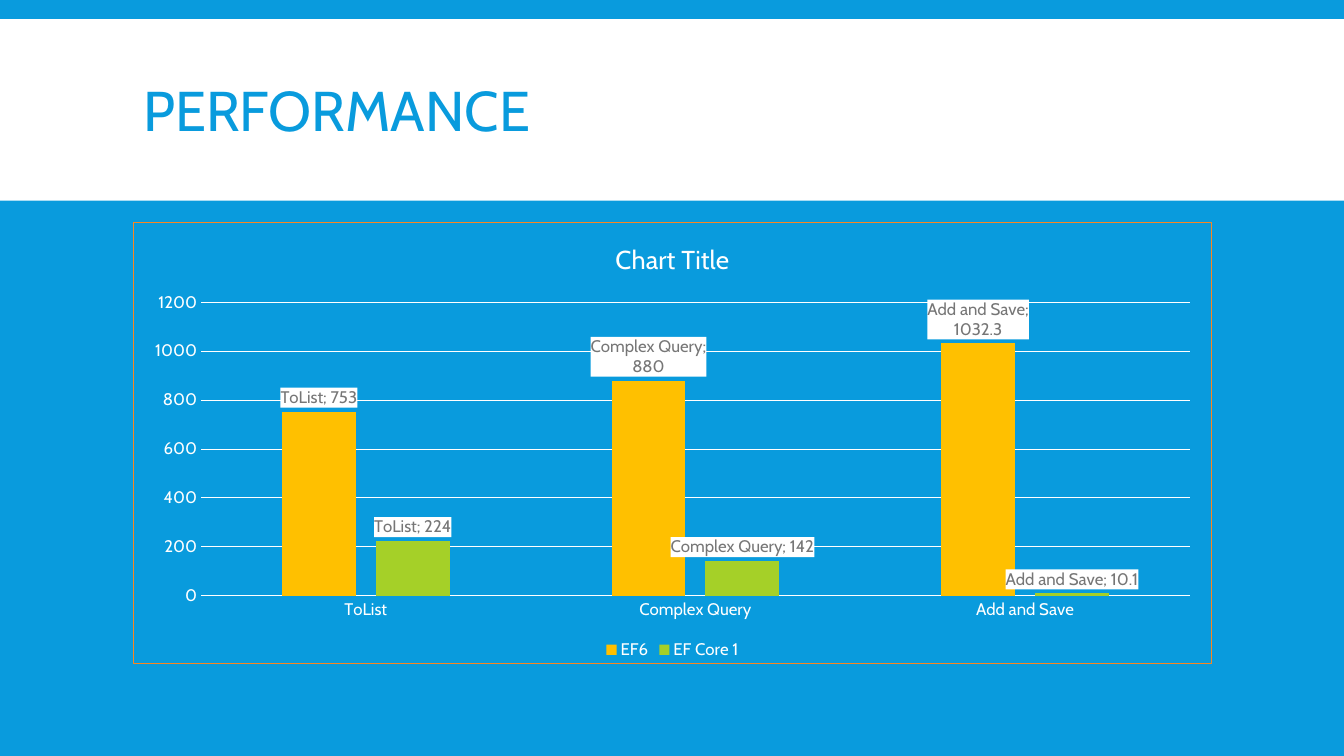
from lxml import etree
from pptx import Presentation
from pptx.chart.data import CategoryChartData
from pptx.dml.color import RGBColor
from pptx.enum.chart import XL_CHART_TYPE as CT, XL_LABEL_POSITION as LP
from pptx.enum.chart import XL_LEGEND_POSITION as LG, XL_TICK_MARK as TM
from pptx.enum.shapes import MSO_SHAPE
from pptx.enum.text import MSO_ANCHOR, PP_ALIGN
from pptx.oxml import parse_xml
from pptx.util import Inches, Pt

NS_C = "http://schemas.openxmlformats.org/drawingml/2006/chart"
NS_A = "http://schemas.openxmlformats.org/drawingml/2006/main"
BLUE, WHITE, GREY, ORANGE = "099BDD", "FFFFFF", "767676", "FA8621"
CATEGORIES = ["ToList", "Complex Query", "Add and Save"]
SERIES = [
    ("EF6", [753, 880, 1032.3], "FFC000"),
    ("EF Core 1", [224, 142, 10.1], "A5D028"),
]


def rgb(value):
    return RGBColor.from_string(value)


def solid(color):
    return f'<a:solidFill><a:srgbClr val="{color}"/></a:solidFill>'


def chart_sppr(content):
    """Return a chart shape-properties element holding the given fill and line."""
    return parse_xml(f'<c:spPr xmlns:c="{NS_C}" xmlns:a="{NS_A}">{content}</c:spPr>')


class SlideBuilder:
    def __init__(self, prs, font="Cabin", background=BLUE):
        self.font = font
        self.s = prs.slides.add_slide(prs.slide_layouts[5])
        fill = self.s.background.fill
        fill.solid()
        fill.fore_color.rgb = rgb(background)

    def style(self, font, size, color):
        font.name, font.size, font.bold = self.font, Pt(size), False
        font.color.rgb = rgb(color)

    def band(self, x, y, w, h, color):
        """Add a plain rectangle behind everything else."""
        sp = self.s.shapes.add_shape(
            MSO_SHAPE.RECTANGLE, Inches(x), Inches(y), Inches(w), Inches(h))
        sp.shadow.inherit = False
        sp.fill.solid()
        sp.fill.fore_color.rgb = rgb(color)
        sp.line.fill.background()
        self.s.shapes._spTree.insert(2, sp._element)

    def title(self, text, x, y, w, h, size, color):
        sp = self.s.shapes.title
        sp.left, sp.top, sp.width, sp.height = map(Inches, (x, y, w, h))
        tf = sp.text_frame
        tf.word_wrap, tf.vertical_anchor = True, MSO_ANCHOR.MIDDLE
        p = tf.paragraphs[0]
        p.alignment, p.line_spacing = PP_ALIGN.LEFT, 0.85
        r = p.add_run()
        r.text = text
        self.style(r.font, size, color)

    def column_chart(self, heading, categories, series, x, y, w, h):
        data = CategoryChartData()
        data.categories = categories
        for name, values, _ in series:
            data.add_series(name, values)
        chart = self.s.shapes.add_chart(
            CT.COLUMN_CLUSTERED, Inches(x), Inches(y), Inches(w), Inches(h), data).chart
        self.style(chart.font, 10, WHITE)
        border = f'<a:noFill/><a:ln w="{Pt(0.75)}">{solid(ORANGE)}</a:ln>'
        chart._chartSpace.find(f"{{{NS_C}}}chart").addnext(chart_sppr(border))

        p = chart.chart_title.text_frame.paragraphs[0]
        r = p.add_run()
        r.text = heading
        self.style(r.font, 18.6, WHITE)

        chart.has_legend = True
        chart.legend.position = LG.BOTTOM
        chart.legend.include_in_layout = False
        self.style(chart.legend.font, 12, WHITE)

        for axis in (chart.category_axis, chart.value_axis):
            axis.major_tick_mark = axis.minor_tick_mark = TM.NONE
            self.style(axis.tick_labels.font, 12, WHITE)
        chart.value_axis.minimum_scale, chart.value_axis.maximum_scale = 0, 1200
        chart.value_axis.major_unit = 200
        chart.value_axis.format.line.fill.background()
        for lined in (chart.category_axis, chart.value_axis.major_gridlines):
            lined.format.line.color.rgb = rgb(WHITE)
            lined.format.line.width = Pt(0.75)

        plot = chart.plots[0]
        plot.gap_width, plot.overlap, plot.vary_by_categories = 219, -27, False
        for bars, (_, _, color) in zip(plot.series, series):
            bars.format.fill.solid()
            bars.format.fill.fore_color.rgb = rgb(color)
            self.bar_labels(bars.data_labels)

    def bar_labels(self, labels):
        """Show category and value in a white box above each bar."""
        self.style(labels.font, 12, GREY)
        labels.show_category_name = labels.show_value = True
        labels.position = LP.OUTSIDE_END
        xml = labels._element
        xml.find(f"{{{NS_C}}}txPr").addprevious(chart_sppr(solid(WHITE)))
        separator = etree.Element(f"{{{NS_C}}}separator")
        separator.text = "; "
        xml.find(f"{{{NS_C}}}showBubbleSize").addnext(separator)


def main():
    prs = Presentation()
    prs.slide_width, prs.slide_height = Inches(13.33), Inches(7.5)
    slide = SlideBuilder(prs)
    slide.band(0, 0.19, 13.33, 1.8, WHITE)
    slide.title("PERFORMANCE", 1.32, 0.31, 10.7, 1.65, 40, BLUE)
    slide.column_chart("Chart Title", CATEGORIES, SERIES, 1.32, 2.2, 10.7, 4.39)
    prs.save("out.pptx")


if __name__ == "__main__":
    main()
